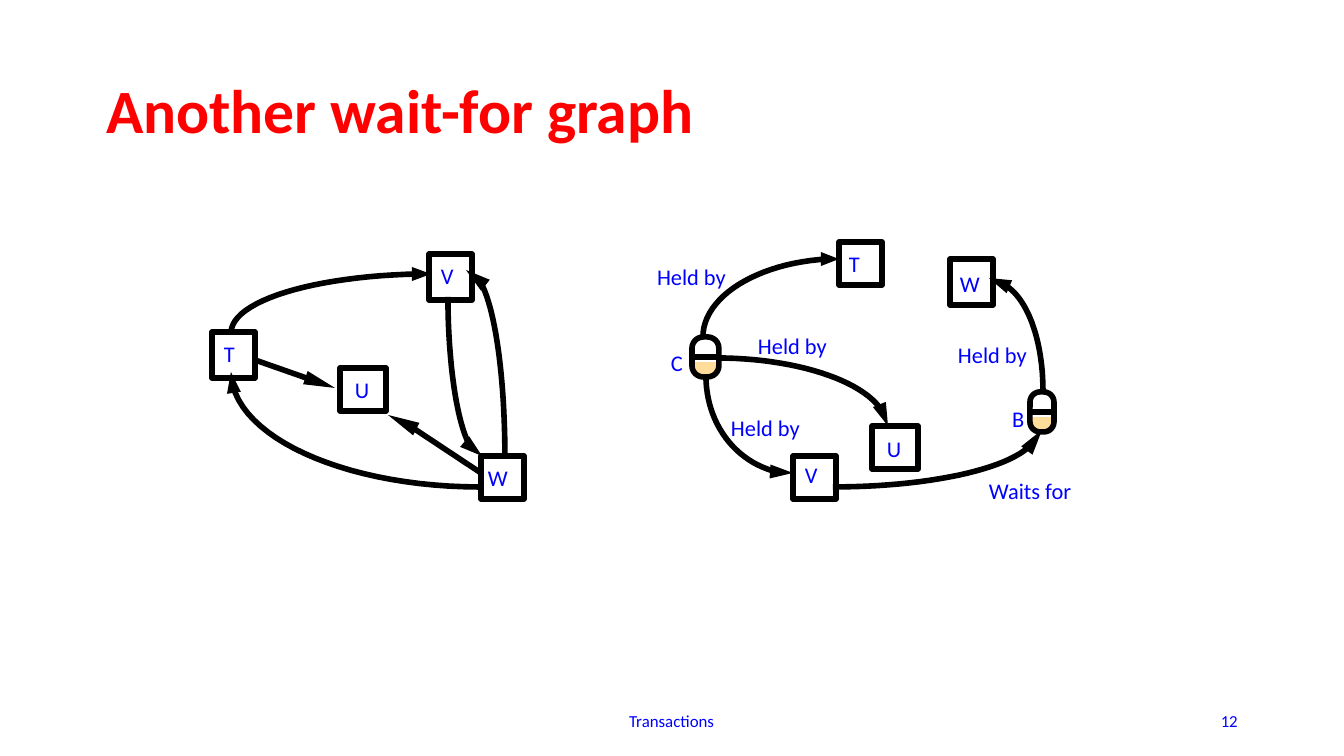
from math import hypot

from lxml import etree
from pptx import Presentation
from pptx.dml.color import RGBColor
from pptx.enum.shapes import MSO_CONNECTOR, MSO_SHAPE
from pptx.enum.text import MSO_ANCHOR, PP_ALIGN
from pptx.oxml.ns import qn
from pptx.util import Pt

SCALE = 914400 / 134.4
RED = RGBColor(0xFF, 0, 0)
BLUE = RGBColor(0, 0, 0xFF)
BLACK = RGBColor(0, 0, 0)
WHITE = RGBColor(0xFF, 0xFF, 0xFF)
SAND = RGBColor(0xFF, 0xDC, 0x99)
RECT, PILL = MSO_SHAPE.RECTANGLE, MSO_SHAPE.ROUNDED_RECTANGLE
STRAIGHT = MSO_CONNECTOR.STRAIGHT
TOP, MIDDLE = MSO_ANCHOR.TOP, MSO_ANCHOR.MIDDLE
LEFT, CENTER, RIGHT = PP_ALIGN.LEFT, PP_ALIGN.CENTER, PP_ALIGN.RIGHT
STEPS = 24

TITLE = {"size": Pt(33), "bold": True, "color": RED}
SMALL = {"size": Pt(9), "color": BLUE}
LABEL = {"size": Pt(12), "color": BLUE}
WIDTHS = {"T": 12, "U": 16, "V": 13, "W": 22, "C": 15, "B": 15,
          "Held by": 79, "Waits for": 94}
FLUSH = dict.fromkeys(
    ("margin_left", "margin_top", "margin_right", "margin_bottom"), 0)

WAITS = {
    "nodes": [("T", (2, 82, 43, 46), (12, 8)),
              ("U", (130, 118, 46, 43), (15, 8)),
              ("V", (219, 4, 43, 46), (12, 8)),
              ("W", (271, 206, 43, 43), (7, 8))],
    "arrows": [
        ((21, 83), (21, 51), (104, 26), (209, 24), (221, 24)),
        ((270, 237), (145, 237), (39, 194), (23, 136), (21, 122)),
        ((295, 206), (295, 126), (285, 56), (270, 31), (256, 20)),
        ((238, 47), (238, 113), (247, 173), (260, 196), (272, 206)),
        ((45, 110), (102, 130), (125, 138)),
        ((271, 223), (200, 176), (178, 165))],
    "pills": [],
    "labels": [],
}
HOLDS = {
    "nodes": [("T", (183, 2, 43, 43), (10, 8)),
              ("W", (294, 19, 43, 46), (10, 11)),
              ("U", (216, 186, 46, 43), (15, 9)),
              ("V", (137, 216, 43, 43), (12, 5))],
    "arrows": [
        ((60, 118), (138, 118), (207, 140), (226, 171), (232, 186)),
        ((50, 136), (50, 183), (79, 222), (121, 232), (137, 233)),
        ((47, 97), (47, 57), (101, 23), (172, 19), (183, 19)),
        ((387, 150), (387, 100), (371, 56), (347, 44), (333, 38)),
        ((177, 247), (270, 247), (351, 230), (375, 205), (386, 190))],
    "pills": [(36, 97, 27, 40), (374, 152, 24, 40)],
    "labels": [("C", 15, 109), ("B", 356, 165), ("Held by", 1, 23),
               ("Held by", 102, 92), ("Held by", 75, 174),
               ("Held by", 302, 101), ("Waits for", 333, 237)],
}


def emu(*nums):
    return [round(num * SCALE) for num in nums]


def apply(target, values):
    for name, value in values.items():
        setattr(target, name, value)


def paint(shape, fill=None, line=None):
    shape.shadow.inherit = False
    if fill is None:
        shape.fill.background()
    else:
        shape.fill.solid()
        shape.fill.fore_color.rgb = fill
    if line is None:
        shape.line.fill.background()
    else:
        shape.line.color.rgb = line
        shape.line.width = Pt(3)


def write(slide, box, text, style, frame, para):
    body = slide.shapes.add_textbox(*emu(*box)).text_frame
    apply(body, frame)
    first = body.paragraphs[0]
    apply(first, para)
    run = first.add_run()
    run.text = text
    run.font.name = "Calibri"
    apply(run.font, {k: v for k, v in style.items() if k != "color"})
    run.font.color.rgb = style["color"]


def label(slide, text, left, top):
    write(slide, (left, top, WIDTHS[text], 27), text, LABEL,
          {**FLUSH, "word_wrap": False, "vertical_anchor": TOP},
          {"alignment": LEFT})


def block(slide, kind, box, fill=None, line=None):
    shape = slide.shapes.add_shape(kind, *emu(*box))
    paint(shape, fill, line)
    return shape


def segment(slide, start, end):
    line = slide.shapes.add_connector(STRAIGHT, *emu(*start, *end))
    line.line.color.rgb = BLACK
    line.line.width = Pt(3)
    etree.SubElement(line._element.spPr, qn("a:effectLst"))


def outline(slide, points, close, **look):
    first, *rest = [emu(*point) for point in points]
    form = slide.shapes.build_freeform(*first)
    form.add_line_segments(rest, close=close)
    paint(form.convert_to_shape(), **look)


def bezier(a, b, c, d):
    for step in range(STEPS + 1):
        t = step / STEPS
        u = 1 - t
        yield [u**3 * p + 3 * u * u * t * q + 3 * u * t * t * r + t**3 * s
               for p, q, r, s in zip(a, b, c, d)]


def arrow(slide, points):
    *route, tip = points
    if len(route) == 2:
        segment(slide, *route)
    else:
        outline(slide, bezier(*route), False, line=BLACK)
    x, y = route[-1]
    dx, dy = tip[0] - x, tip[1] - y
    size = hypot(dx, dy)
    dx, dy = 7 * dx / size, 7 * dy / size
    x, y = x - dx, y - dy
    outline(slide, [tip, (x - dy, y + dx), (x + dy, y - dx)], True, fill=BLACK)


def pill(slide, box):
    left, top, width, height = box
    mid = top + height // 2
    shapes = [block(slide, PILL, box, fill=SAND)]
    block(slide, RECT, (left, top, width, height // 2 + 5), fill=WHITE)
    shapes.append(block(slide, PILL, box, line=BLACK))
    for shape in shapes:
        shape.adjustments[0] = 0.42
    segment(slide, (left, mid), (left + width, mid))


def graph(slide, box, parts):
    left, top = box[:2]
    for name, (x, y, width, height), (dx, dy) in parts["nodes"]:
        block(slide, RECT, (left + x, top + y, width, height), WHITE, BLACK)
        label(slide, name, left + x + dx, top + y + dy)
    for points in parts["arrows"]:
        arrow(slide, [(left + x, top + y) for x, y in points])
    for x, y, width, height in parts["pills"]:
        pill(slide, (left + x, top + y, width, height))
    for text, x, y in parts["labels"]:
        label(slide, text, left + x, top + y)


def header(slide, box):
    write(slide, box, "Another wait-for graph", TITLE,
          {"word_wrap": True, "vertical_anchor": MIDDLE},
          {"alignment": LEFT, "line_spacing": 0.9})


def footer(slide, box):
    left, top, width, height = box
    frame = {"word_wrap": True, "vertical_anchor": MIDDLE}
    write(slide, (left, top, 453, height), "Transactions", SMALL, frame,
          {"alignment": CENTER})
    write(slide, (left + width - 302, top, 302, height), "12", SMALL, frame,
          {"alignment": RIGHT})


def main():
    deck = Presentation()
    deck.slide_width, deck.slide_height = emu(1344, 756)
    slide = deck.slides.add_slide(deck.slide_layouts[6])
    header(slide, (93, 40, 1160, 147))
    graph(slide, (210, 250, 318, 250), WAITS)
    graph(slide, (656, 240, 418, 264), HOLDS)
    footer(slide, (445, 701, 806, 40))
    deck.save("out.pptx")


if __name__ == "__main__":
    main()
